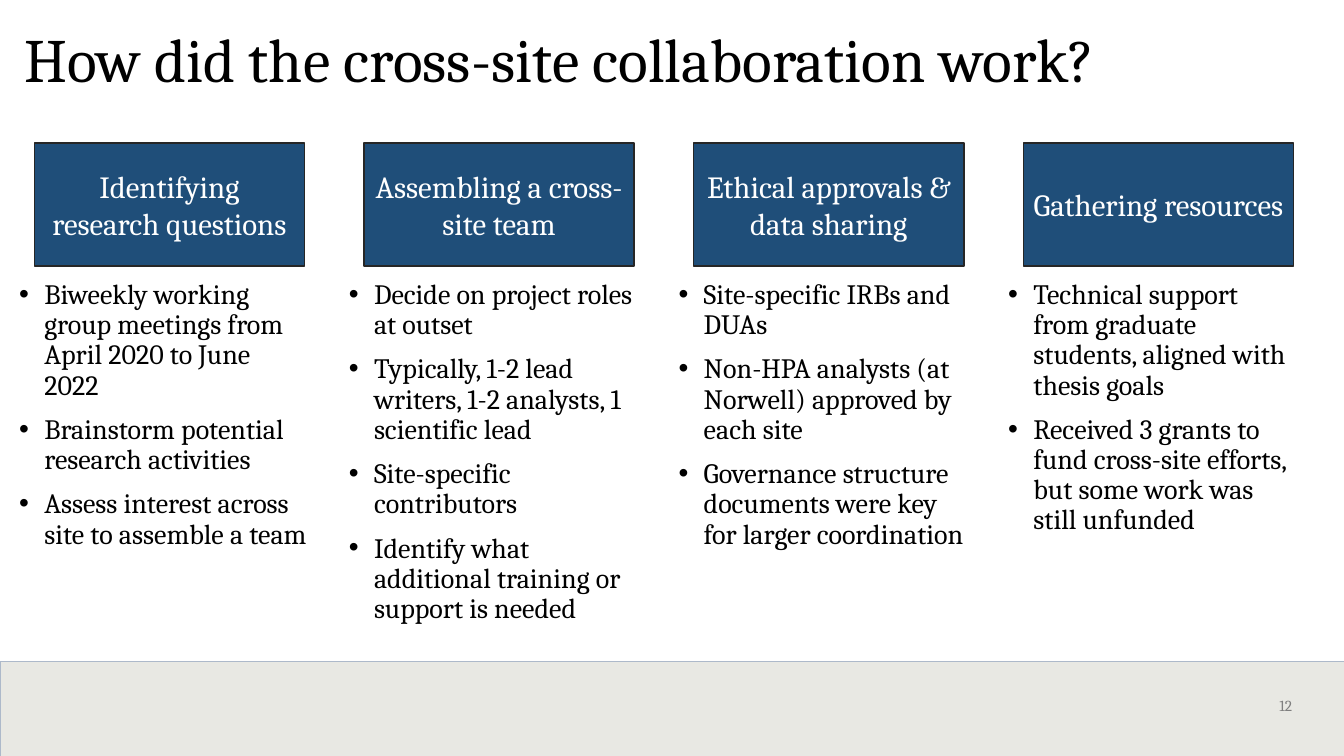
from dataclasses import dataclass

import pptx
import pptx.dml.color
import pptx.enum.shapes
import pptx.enum.text
import pptx.oxml
import pptx.oxml.ns
import pptx.util
from pptx.util import Inches

RGB = pptx.dml.color.RGBColor.from_string
ALIGN = pptx.enum.text.PP_ALIGN
ANCHOR = pptx.enum.text.MSO_ANCHOR
RECT = pptx.enum.shapes.MSO_SHAPE.RECTANGLE
NSDECLS = pptx.oxml.ns.nsdecls("a")


@dataclass(frozen=True)
class Theme:
    font: str = "Cambria"
    text: str = "000000"
    header_text: str = "FFFFFF"
    header_fill: str = "1F4E79"
    header_line: str = "262626"
    footer_fill: str = "D3D3C9"
    footer_line: str = "ADB9CA"
    number: str = "7F7F7F"
    title_size: int = 44
    header_size: int = 22
    body_size: int = 20
    number_size: int = 11


theme = Theme()


def write_text(sp, paragraphs, size, color=theme.text, align=ALIGN.LEFT,
               anchor=ANCHOR.TOP, left_inset=0.1, spacing=1.0, before=0,
               margin=0, indent=0, bullet=None):
    tf = sp.text_frame
    tf.word_wrap = True
    tf.vertical_anchor = anchor
    tf.margin_left, tf.margin_right = Inches(left_inset), Inches(0.1)
    tf.margin_top = tf.margin_bottom = Inches(0.05)
    for i, text in enumerate(paragraphs):
        p = tf.add_paragraph() if i else tf.paragraphs[0]
        p.alignment, p.line_spacing = align, spacing
        p.space_before = pptx.util.Pt(before)
        pPr = p._p.get_or_add_pPr()
        pPr.set("marL", str(Inches(margin)))
        pPr.set("indent", str(Inches(indent)))
        if bullet:
            pPr.append(pptx.oxml.parse_xml(f'<a:buFont {NSDECLS} typeface="Arial"/>'))
            pPr.append(pptx.oxml.parse_xml(f'<a:buChar {NSDECLS} char="{bullet}"/>'))
        r = p.add_run()
        r.text = text
        r.font.name, r.font.size = theme.font, pptx.util.Pt(size)
        r.font.color.rgb = RGB(color)


def add_box(left, top, width, height, fill, line, line_width):
    sp = slide.shapes.add_shape(RECT, Inches(left), Inches(top), Inches(width), Inches(height))
    sp.shadow.inherit = False
    sp.fill.solid()
    sp.fill.fore_color.rgb = RGB(fill)
    sp.line.color.rgb = RGB(line)
    sp.line.width = pptx.util.Pt(line_width)
    return sp


prs = pptx.Presentation()
prs.slide_width, prs.slide_height = Inches(13.33), Inches(7.5)
slide = prs.slides.add_slide(prs.slide_layouts[6])

# Footer band, half transparent, with the slide number
footer = add_box(0, 6.56, 13.33, 0.94, theme.footer_fill, theme.footer_line, 0.5)
footer_color = footer.fill._xPr.find(".//" + pptx.oxml.ns.qn("a:srgbClr"))
footer_color.append(pptx.oxml.parse_xml(f'<a:alpha {NSDECLS} val="50000"/>'))

number = slide.shapes.add_textbox(Inches(12.39), Inches(6.86), Inches(0.7), Inches(0.37))
write_text(number, ["12"], theme.number_size, color=theme.number, margin=0.2, before=2.2)

# Title
title = slide.shapes.add_textbox(Inches(0.24), Inches(0.24), Inches(12.99), Inches(0.99))
write_text(title, ["How did the cross-site collaboration work?"], theme.title_size,
           left_inset=0, spacing=0.9)

# Four columns: a header box above a bulleted list
columns = [
    ("Identifying research questions", [
        "Biweekly working group meetings from April 2020 to June 2022",
        "Brainstorm potential research activities",
        "Assess interest across site to assemble a team",
    ]),
    ("Assembling a cross-site team", [
        "Decide on project roles at outset",
        "Typically, 1-2 lead writers, 1-2 analysts, 1 scientific lead",
        "Site-specific contributors",
        "Identify what additional training or support is needed",
    ]),
    ("Ethical approvals & data sharing", [
        "Site-specific IRBs and DUAs",
        "Non-HPA analysts (at Norwell) approved by each site",
        "Governance structure documents were key for larger coordination",
    ]),
    ("Gathering resources", [
        "Technical support from graduate students, aligned with thesis goals",
        "Received 3 grants to fund cross-site efforts, but some work was still unfunded",
    ]),
]
first_left, pitch, list_offset = 0.34, 3.27, 0.15

for i, (heading, points) in enumerate(columns):
    left = first_left + i * pitch
    header = add_box(left, 1.42, 2.68, 1.22, theme.header_fill, theme.header_line, 1)
    write_text(header, [heading], theme.header_size, color=theme.header_text,
               align=ALIGN.CENTER, anchor=ANCHOR.MIDDLE)
    body = slide.shapes.add_textbox(Inches(left - list_offset), Inches(2.73),
                                    Inches(2.97), Inches(3.57))
    write_text(body, points, theme.body_size, left_inset=0, spacing=0.9, before=10,
               margin=0.25, indent=-0.25, bullet="•")

prs.save("out.pptx")
